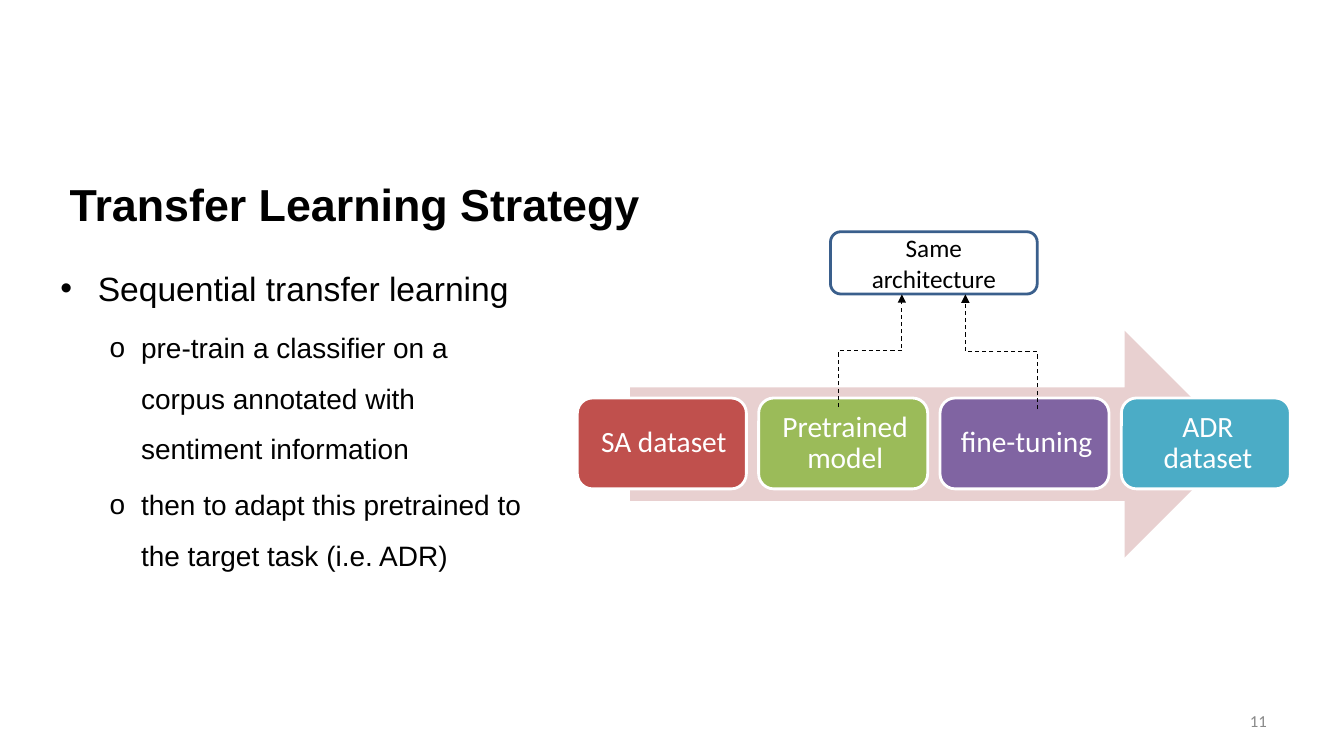
from dataclasses import dataclass

from lxml.etree import SubElement
from pptx import Presentation
from pptx.dml.color import RGBColor as RGB
from pptx.enum.dml import MSO_LINE
from pptx.enum.shapes import MSO_CONNECTOR as Connector, MSO_SHAPE as Shape
from pptx.enum.text import MSO_ANCHOR as Anchor, MSO_AUTO_SIZE as AutoSize, PP_ALIGN as Align
from pptx.oxml.ns import qn
from pptx.util import Cm, Pt

TITLE = "Transfer Learning Strategy"
PAGE_NUMBER = "11"
BULLETS = [
    (0, "Sequential transfer learning"),
    (1, "pre-train a classifier on a corpus annotated with sentiment information"),
    (1, "then to adapt this pretrained to the target task (i.e. ADR)"),
]
STEPS = [
    ("SA dataset", "C0504D"),
    ("Pretrained model", "9BBB59"),
    ("fine-tuning", "8064A2"),
    ("ADR dataset", "4BACC6"),
]
SHARED_NOTE = "Same architecture"

# Boxes are left, top, width, height in centimetres
TITLE_BOX = (1.5, 3.53, 21.64, 3.18)
BODY_BOX = (1.24, 6.63, 12.47, 10.08)
NUMBER_BOX = (24.28, 17.65, 7.9, 1.02)
ARROW_BOX = (15.88, 8.33, 15.32, 5.72)
NOTE_BOX = (20.93, 5.84, 5.21, 1.57)
FIRST_STEP_BOX = (14.55, 10.03, 4.26, 2.29)
STEP_PITCH = 4.57
LINKS = [((21.13, 10.26), (22.73, 7.42)), ((26.14, 10.31), (24.33, 7.42))]


@dataclass(frozen=True)
class Theme:
    heading_font: str = "Arial"
    diagram_font: str = "Calibri"
    black: str = "000000"
    white: str = "FFFFFF"
    grey: str = "898989"
    arrow: str = "E8D0D0"
    note_line: str = "3A5F8C"
    title_size: int = 32
    step_size: int = 21
    note_size: int = 18
    number_size: int = 12


@dataclass(frozen=True)
class BulletStyle:
    symbol: str
    size: int
    margin: float
    indent: float
    before: float
    spacing: float


THEME = Theme()
BULLET_STYLES = [
    BulletStyle("•", 24, 0.97, -0.94, 4.8, 1.0),
    BulletStyle("o", 20, 2.06, -0.79, 4, 1.5),
]


def lengths(box):
    return [Cm(value) for value in box]


def place(shape, box):
    shape.left, shape.top, shape.width, shape.height = lengths(box)


def add_run(paragraph, text, font, size, color, bold=False):
    run = paragraph.add_run()
    run.text = text
    run.font.name, run.font.size, run.font.bold = font, Pt(size), bold
    run.font.color.rgb = RGB.from_string(color)


def set_bullet(paragraph, style):
    properties = paragraph._p.get_or_add_pPr()
    properties.set("marL", str(Cm(style.margin)))
    properties.set("indent", str(Cm(style.indent)))
    SubElement(properties, qn("a:buFont"), typeface=THEME.heading_font)
    SubElement(properties, qn("a:buChar"), char=style.symbol)


def add_block(slide, kind, box, fill=None, line=None):
    shape = slide.shapes.add_shape(kind, *lengths(box))
    shape.shadow.inherit = False
    if fill:
        shape.fill.solid()
        shape.fill.fore_color.rgb = RGB.from_string(fill)
    else:
        shape.fill.background()
    if line:
        shape.line.color.rgb = RGB.from_string(line)
        shape.line.width = Pt(2)
    else:
        shape.line.fill.background()
    return shape


def add_label(shape, text, size, color):
    frame = shape.text_frame
    frame.word_wrap = True
    frame.vertical_anchor = Anchor.MIDDLE
    paragraph = frame.paragraphs[0]
    paragraph.alignment = Align.CENTER
    add_run(paragraph, text, THEME.diagram_font, size, color)
    return paragraph


def add_link(slide, start, end):
    """Add an elbow that leaves and arrives vertically: one lying flat, turned by 90 degrees."""
    (x1, y1), (x2, y2) = start, end
    middle_x, middle_y = (x1 + x2) / 2, (y1 + y2) / 2
    half_x, half_y = (x1 - x2) / 2, (y1 - y2) / 2
    link = slide.shapes.add_connector(
        Connector.ELBOW,
        Cm(middle_x + half_y), Cm(middle_y - half_x),
        Cm(middle_x - half_y), Cm(middle_y + half_x),
    )
    link.line.color.rgb = RGB.from_string(THEME.black)
    link.line.width = Pt(0.75)
    link.line.dash_style = MSO_LINE.DASH
    properties = link._element.spPr
    properties.find(qn("a:xfrm")).set("rot", str(90 * 60000))
    SubElement(properties.find(qn("a:ln")), qn("a:tailEnd"), type="triangle")
    SubElement(properties, qn("a:effectLst"))


def fill_title(slide):
    title = slide.shapes.title
    place(title, TITLE_BOX)
    frame = title.text_frame
    frame.auto_size = AutoSize.NONE
    frame.vertical_anchor = Anchor.MIDDLE
    paragraph = frame.paragraphs[0]
    paragraph.alignment = Align.LEFT
    add_run(paragraph, TITLE, THEME.heading_font, THEME.title_size, THEME.black, bold=True)


def fill_body(slide):
    body = slide.placeholders[1]
    place(body, BODY_BOX)
    frame = body.text_frame
    frame.auto_size = AutoSize.NONE
    for index, (level, text) in enumerate(BULLETS):
        style = BULLET_STYLES[level]
        paragraph = frame.add_paragraph() if index else frame.paragraphs[0]
        paragraph.level = level
        paragraph.line_spacing = style.spacing
        paragraph.space_before = Pt(style.before)
        set_bullet(paragraph, style)
        add_run(paragraph, text, THEME.heading_font, style.size, THEME.black)


def add_page_number(slide):
    frame = slide.shapes.add_textbox(*lengths(NUMBER_BOX)).text_frame
    frame.word_wrap = True
    frame.vertical_anchor = Anchor.MIDDLE
    paragraph = frame.paragraphs[0]
    paragraph.alignment = Align.RIGHT
    add_run(paragraph, PAGE_NUMBER, THEME.diagram_font, THEME.number_size, THEME.grey)


def add_process(slide):
    add_block(slide, Shape.RIGHT_ARROW, ARROW_BOX, fill=THEME.arrow)
    left, top, width, height = FIRST_STEP_BOX
    for index, (text, color) in enumerate(STEPS):
        box = (left + index * STEP_PITCH, top, width, height)
        step = add_block(slide, Shape.ROUNDED_RECTANGLE, box, color, THEME.white)
        frame = step.text_frame
        frame.margin_left = frame.margin_top = frame.margin_bottom = Cm(0.33)
        frame.margin_right = Cm(0.23)
        paragraph = add_label(step, text, THEME.step_size, THEME.white)
        paragraph.line_spacing = 0.9
        paragraph.space_after = Pt(7.3)
    note = add_block(slide, Shape.ROUNDED_RECTANGLE, NOTE_BOX, line=THEME.note_line)
    add_label(note, SHARED_NOTE, THEME.note_size, THEME.black)
    for start, end in LINKS:
        add_link(slide, start, end)


def main():
    presentation = Presentation()
    presentation.slide_width, presentation.slide_height = Cm(33.87), Cm(19.05)
    slide = presentation.slides.add_slide(presentation.slide_layouts[1])
    fill_title(slide)
    fill_body(slide)
    add_page_number(slide)
    add_process(slide)
    presentation.save("out.pptx")


if __name__ == "__main__":
    main()
